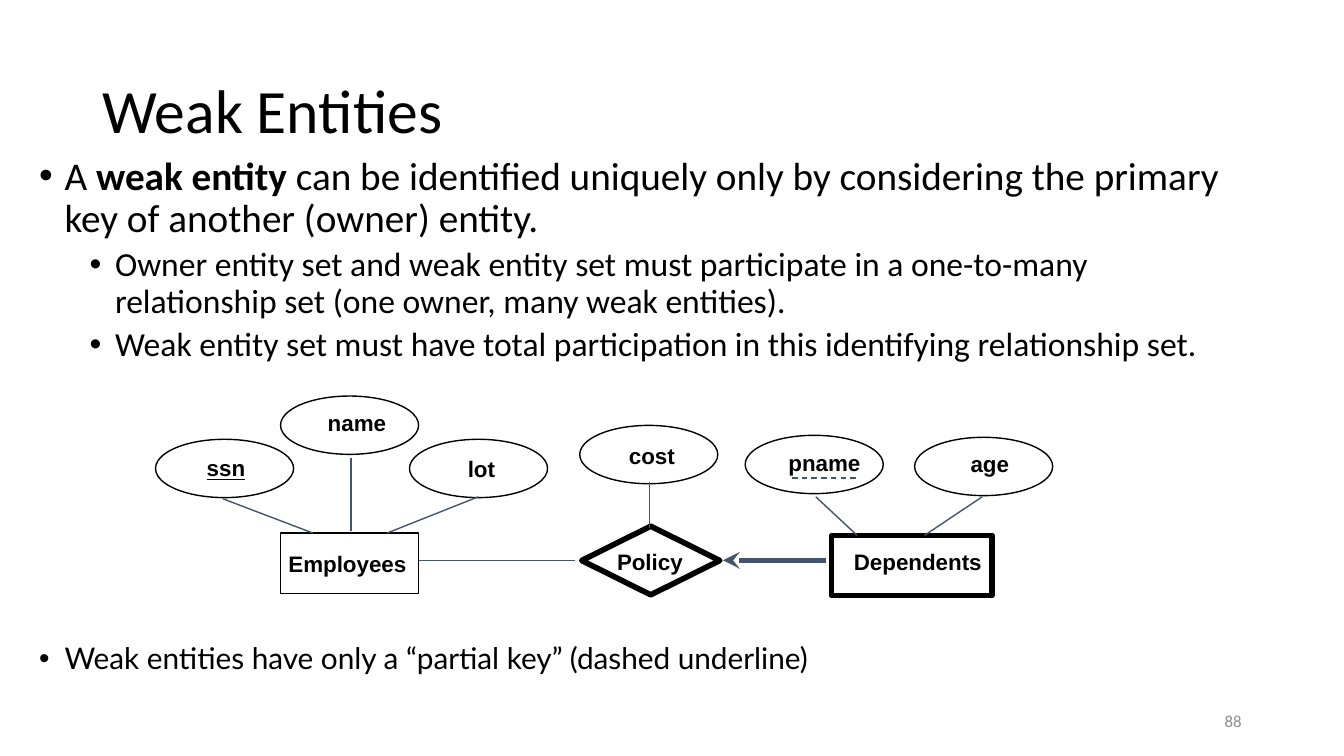
from dataclasses import dataclass

from lxml import etree
from pptx import Presentation
from pptx import util as u
from pptx.dml.color import RGBColor
from pptx.enum import dml, shapes, text
from pptx.oxml import ns
from pptx.util import Cm


@dataclass(frozen=True)
class Theme:
    """Colours, fonts and type sizes of the slide."""
    ink: RGBColor = RGBColor(0, 0, 0)
    link: RGBColor = RGBColor(0x44, 0x54, 0x6A)
    muted: RGBColor = RGBColor(0x8C, 0x8C, 0x8C)
    body_font: str = "Calibri"
    note_font: str = "Lato"
    label_font: str = "Arial"
    title: float = 44
    point: float = 28
    subpoint: float = 24
    note: float = 21.3
    label: float = 16
    number: float = 12
    thin: float = 1
    thick: float = 4


THEME = Theme()
OVAL = shapes.MSO_SHAPE.OVAL
RECTANGLE = shapes.MSO_SHAPE.RECTANGLE
DIAMOND = shapes.MSO_SHAPE.DIAMOND
ATTRIBUTE_SIZE = (3.48, 1.47)
LABEL_HEIGHT = 0.94

ATTRIBUTES = [
    ("name", (3.15, 0), (4.09, 0.2, 1.98)),
    ("ssn", (0, 1.09), (1.04, 1.35, 1.5)),
    ("lot", (6.4, 1.09), (7.62, 1.37, 1.22)),
    ("cost", (10.69, 0.74), (11.68, 1.04, 1.68)),
    ("pname", (14.86, 0.99), (15.7, 1.22, 2.34)),
    ("age", (19.13, 1.04), (20.29, 1.24, 1.5)),
]
SETS = [
    ("Employees", RECTANGLE, (3.15, 3.45, 3.48, 1.52), (3.1, 3.76, 3.51), THEME.thin),
    ("Policy", DIAMOND, (10.74, 3.28, 3.48, 1.73), (11.38, 3.71, 2.18), THEME.thick),
    ("Dependents", RECTANGLE, (17.04, 3.51, 4.04, 1.52), (17.35, 3.71, 3.76), THEME.thick),
]
LINKS = [
    (4.93, 1.55, 4.93, 3.4),
    (1.7, 2.59, 3.96, 3.45),
    (8.13, 2.54, 5.84, 3.45),
    (12.45, 2.16, 12.45, 3.33),
    (16.64, 2.54, 17.68, 3.51),
    (20.83, 2.54, 19.38, 3.51),
    (10.57, 4.14, 6.63, 4.14),
]
PARTIAL_KEY = (17.65, 2.06, 15.95, 2.06)
TOTAL_PARTICIPATION = (16.89, 4.14, 14.3, 4.14)

POINTS = [
    (0, 0, THEME.point, THEME.body_font,
     ["A ", "weak entity ", "can be identified uniquely only by considering "
      "the primary key of another (owner) entity."]),
    (1, 5, THEME.subpoint, THEME.body_font,
     ["Owner entity set and weak entity set must participate in a one-to-many "
      "relationship set (one owner, many weak entities)."]),
    (1, 5, THEME.subpoint, THEME.body_font,
     ["Weak entity set must have total participation in this identifying "
      "relationship set."]),
    (0, 200, THEME.note, THEME.note_font,
     ["Weak entities have only a “partial key” (dashed underline)"]),
]


def style(font, name, size, color):
    """Set the face, size and colour of a font."""
    font.name = name
    font.size = u.Pt(size)
    font.color.rgb = color


def add_frame(slide, left, top, width, height, wrap=True):
    """Add a text box and return its text frame."""
    frame = slide.shapes.add_textbox(Cm(left), Cm(top), Cm(width), Cm(height)).text_frame
    frame.word_wrap = wrap
    return frame


def add_line(slide, left, top, ends, weight=THEME.thin):
    """Draw a straight link between two points of the diagram."""
    x1, y1, x2, y2 = ends
    link = slide.shapes.add_connector(
        shapes.MSO_CONNECTOR.STRAIGHT,
        Cm(left + x1), Cm(top + y1), Cm(left + x2), Cm(top + y2))
    link.line.color.rgb = THEME.link
    link.line.width = u.Pt(weight)
    etree.SubElement(link.element.spPr, ns.qn("a:effectLst"))
    return link


def add_node(slide, left, top, kind, box, label, label_box, weight):
    """Draw an outlined shape of the diagram with its label."""
    x, y, width, height = box
    node = slide.shapes.add_shape(kind, Cm(left + x), Cm(top + y), Cm(width), Cm(height))
    node.shadow.inherit = False
    node.fill.background()
    node.line.color.rgb = THEME.ink
    node.line.width = u.Pt(weight)
    x, y, width = label_box
    frame = add_frame(slide, left + x, top + y, width, LABEL_HEIGHT, wrap=False)
    frame.text = label
    font = frame.paragraphs[0].runs[0].font
    style(font, THEME.label_font, THEME.label, THEME.ink)
    font.bold = True
    font.underline = True if label == "ssn" else None


def add_title(slide, left, top, width, height):
    """Place the slide title, centred vertically in its box."""
    frame = add_frame(slide, left, top, width, height)
    frame.vertical_anchor = text.MSO_ANCHOR.MIDDLE
    frame.text = "Weak Entities"
    title = frame.paragraphs[0]
    title.line_spacing = 0.9
    style(title.runs[0].font, THEME.body_font, THEME.title, THEME.ink)


def add_points(slide, left, top, width, height):
    """Place the bulleted statements."""
    frame = add_frame(slide, left, top, width, height)
    for index, (level, gap, size, face, pieces) in enumerate(POINTS):
        point = frame.add_paragraph() if index else frame.paragraphs[0]
        point.level = level
        point.line_spacing = 0.9
        point.space_before = u.Pt(gap)
        props = point._p.get_or_add_pPr()
        props.set("marL", str(Cm(0.64 + 1.27 * level)))
        props.set("indent", str(Cm(-0.64)))
        etree.SubElement(props, ns.qn("a:buFont"), typeface="Arial")
        etree.SubElement(props, ns.qn("a:buChar"), char="•")
        for position, piece in enumerate(pieces):
            run = point.add_run()
            run.text = piece
            style(run.font, face, size, THEME.ink)
            run.font.bold = position == 1


def add_diagram(slide, left, top):
    """Draw the entity-relationship diagram from its top left corner."""
    for label, place, label_box in ATTRIBUTES:
        add_node(slide, left, top, OVAL, place + ATTRIBUTE_SIZE, label, label_box, THEME.thin)
    for label, kind, box, label_box, weight in SETS:
        add_node(slide, left, top, kind, box, label, label_box, weight)
    for ends in LINKS:
        add_line(slide, left, top, ends)
    underline = add_line(slide, left, top, PARTIAL_KEY)
    underline.line.dash_style = dml.MSO_LINE.DASH
    arrow = add_line(slide, left, top, TOTAL_PARTICIPATION, THEME.thick)
    etree.SubElement(arrow.line._get_or_add_ln(), ns.qn("a:tailEnd"), type="stealth")


def add_number(slide, left, top, width, height):
    """Place the slide number at the right of its box."""
    frame = add_frame(slide, left, top, width, height)
    frame.vertical_anchor = text.MSO_ANCHOR.MIDDLE
    frame.text = "88"
    number = frame.paragraphs[0]
    number.alignment = text.PP_ALIGN.RIGHT
    style(number.runs[0].font, THEME.body_font, THEME.number, THEME.muted)


def main():
    """Build the slide and save it."""
    deck = Presentation()
    deck.slide_width, deck.slide_height = Cm(33.87), Cm(19.05)
    slide = deck.slides.add_slide(deck.slide_layouts[6])
    add_title(slide, 2.33, 1.01, 29.21, 3.68)
    add_points(slide, 0.74, 3.81, 30.48, 15.24)
    add_diagram(slide, 3.92, 9.98)
    add_number(slide, 23.92, 17.66, 7.62, 1.01)
    deck.save("out.pptx")


if __name__ == "__main__":
    main()
